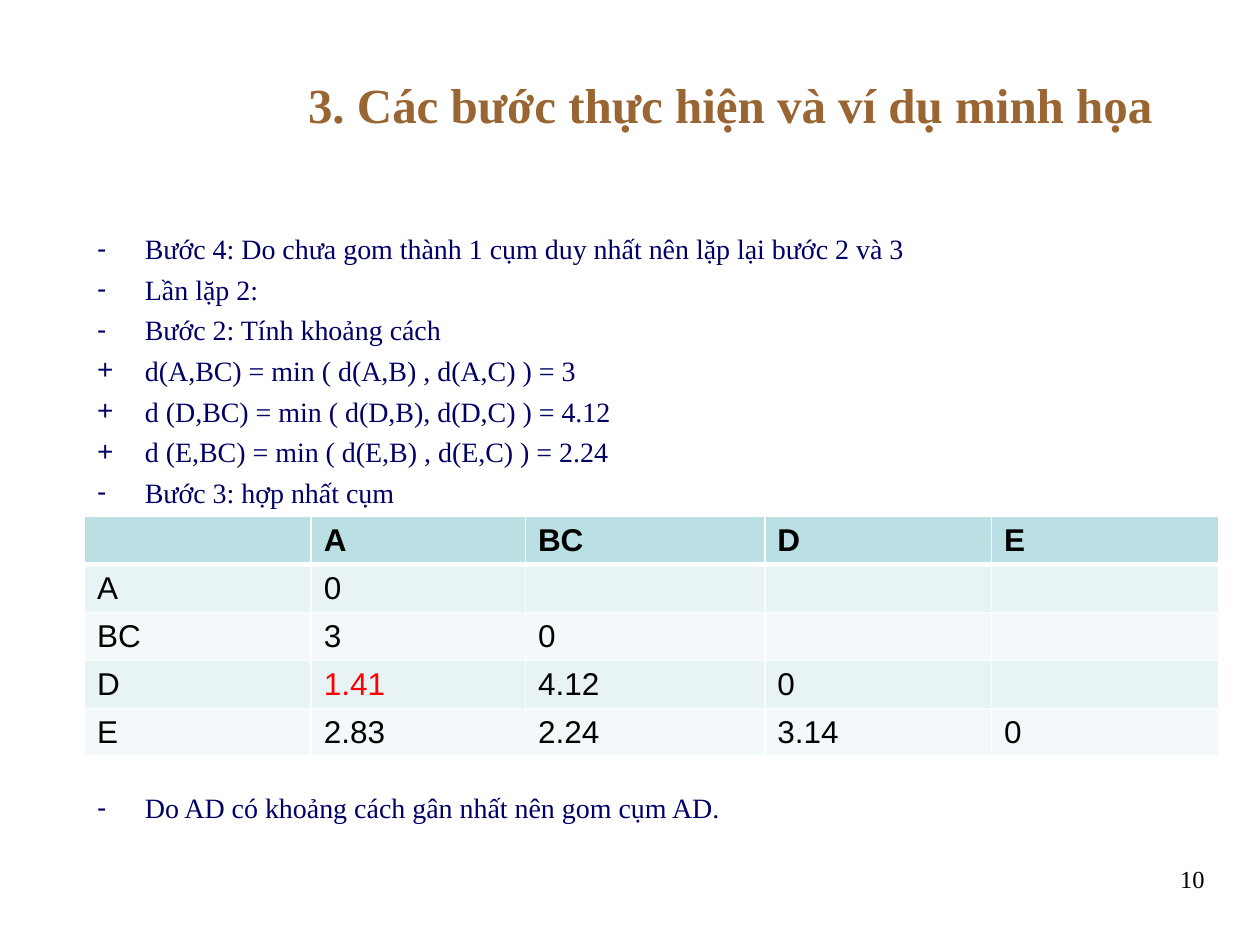
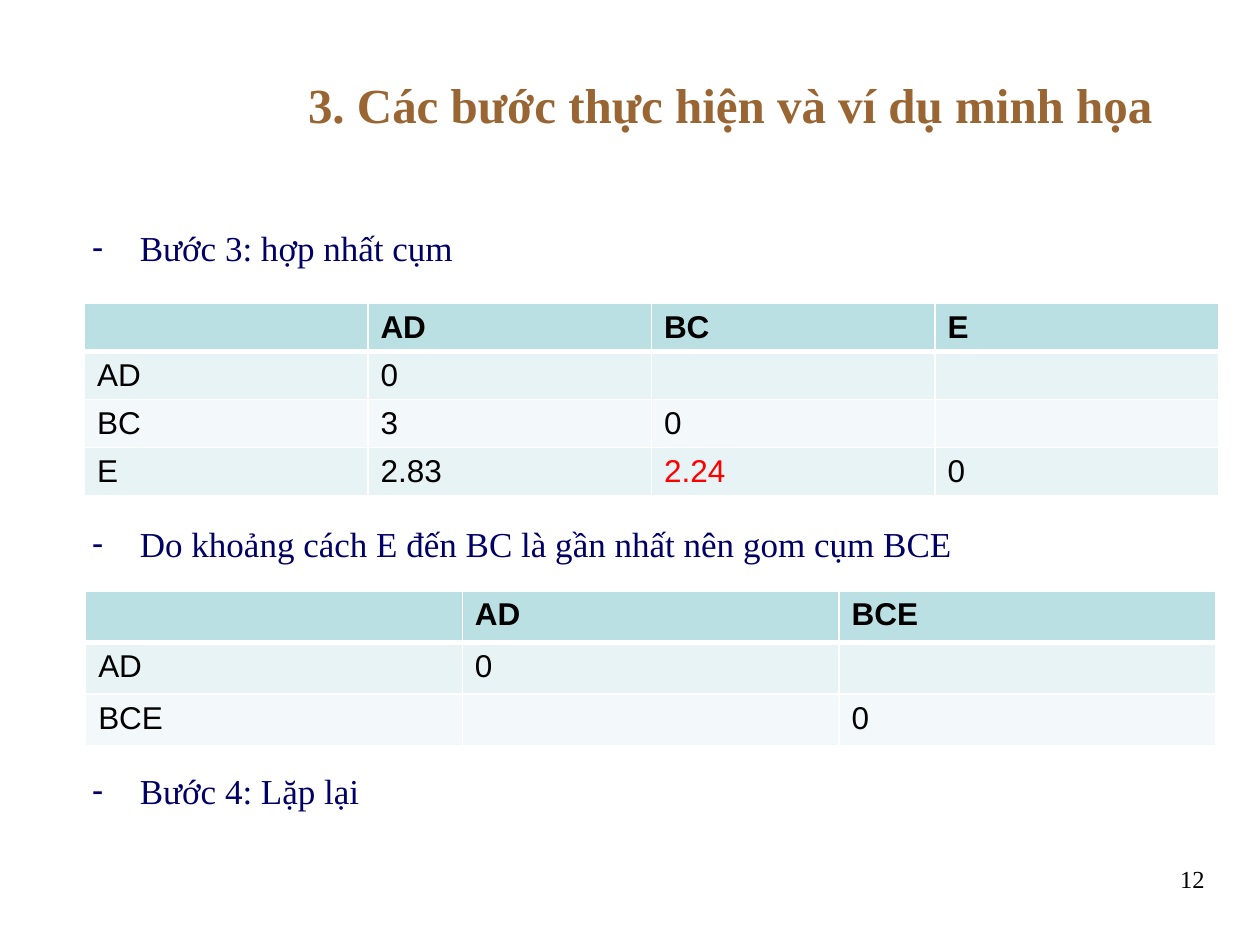
from dataclasses import dataclass

from lxml.etree import SubElement
from pptx import Presentation
from pptx.dml.color import RGBColor
from pptx.enum.text import MSO_ANCHOR, MSO_AUTO_SIZE, PP_ALIGN
from pptx.oxml.ns import qn
from pptx.util import Inches, Pt


@dataclass(frozen=True)
class Theme:
    """Colours, fonts and type sizes of the slides."""

    title_color: str = "996633"
    body_color: str = "000066"
    text_color: str = "000000"
    highlight_color: str = "FF0000"
    header_fill: str = "BBE0E3"
    band_fills: tuple = ("E7F3F4", "F3F9FA")
    border_color: str = "FFFFFF"
    serif: str = "Times New Roman"
    sans: str = "Arial"
    title_size: int = 28
    number_size: int = 14
    table_size: int = 18


class SlideBuilder:
    """Adds styled elements to the current slide."""

    def __init__(self, presentation, theme):
        self.presentation = presentation
        self.theme = theme
        self.slide = None

    def start_slide(self, title, number):
        self.slide = self.presentation.slides.add_slide(self.presentation.slide_layouts[1])
        self.add_title(title)
        self.add_number(number)

    def place(self, shape, left, top, width, height):
        box = {"left": left, "top": top, "width": width, "height": height}
        for name, value in box.items():
            setattr(shape, name, Inches(value))

    def set_frame(self, frame, anchor):
        formats = {"word_wrap": True, "auto_size": MSO_AUTO_SIZE.NONE, "vertical_anchor": anchor}
        for name, value in formats.items():
            setattr(frame, name, value)

    def add_text(self, paragraph, text, font_name, size, color, bold=False):
        run = paragraph.add_run()
        run.text = text
        formats = {"name": font_name, "size": Pt(size), "bold": bold}
        for name, value in formats.items():
            setattr(run.font, name, value)
        run.font.color.rgb = RGBColor.from_string(color)

    def add_title(self, text):
        title = self.slide.shapes.title
        self.place(title, 1.92, 0.31, 7.75, 1.03)
        self.set_frame(title.text_frame, MSO_ANCHOR.MIDDLE)
        paragraph = title.text_frame.paragraphs[0]
        paragraph.alignment = PP_ALIGN.CENTER
        theme = self.theme
        self.add_text(paragraph, text, theme.serif, theme.title_size, theme.title_color, True)

    def add_number(self, number):
        box = self.slide.shapes.add_textbox(Inches(7.33), Inches(6.81), Inches(2.33), Inches(0.61))
        self.set_frame(box.text_frame, MSO_ANCHOR.TOP)
        paragraph = box.text_frame.paragraphs[0]
        paragraph.alignment = PP_ALIGN.RIGHT
        theme = self.theme
        self.add_text(paragraph, str(number), theme.serif, theme.number_size, theme.text_color)

    def add_steps(self, left, top, size, steps):
        body = self.slide.placeholders[1]
        self.place(body, left, top, 9, 5.13)
        frame = body.text_frame
        self.set_frame(frame, MSO_ANCHOR.TOP)
        for index, (bullet, text, gap) in enumerate(steps):
            paragraph = frame.add_paragraph() if index else frame.paragraphs[0]
            formats = {"alignment": PP_ALIGN.JUSTIFY, "space_before": Pt(gap), "line_spacing": 1.0}
            for name, value in formats.items():
                setattr(paragraph, name, value)
            self.set_bullet(paragraph, bullet)
            self.add_text(paragraph, text, self.theme.serif, size, self.theme.body_color)

    def set_bullet(self, paragraph, bullet):
        properties = paragraph._p.get_or_add_pPr()
        indent = Inches(0.38)
        properties.set("marL", str(indent))
        properties.set("indent", str(-indent))
        SubElement(properties, qn("a:buFont"), typeface=self.theme.sans)
        SubElement(properties, qn("a:buChar"), char=bullet)

    def add_matrix(self, left, top, column_widths, row_height, rows, highlight=None):
        theme = self.theme
        size = Inches(sum(column_widths)), Inches(row_height * len(rows))
        frame = self.slide.shapes.add_table(
            len(rows), len(column_widths), Inches(left), Inches(top), *size)
        table = frame.table
        table.horz_banding = False
        for column, width in zip(table.columns, column_widths):
            column.width = Inches(width)
        for row_index, values in enumerate(rows):
            table.rows[row_index].height = Inches(row_height)
            header = row_index == 0
            fill = theme.header_fill if header else theme.band_fills[(row_index - 1) % 2]
            for column_index, value in enumerate(values):
                cell = table.cell(row_index, column_index)
                self.set_borders(cell, row_index)
                cell.fill.solid()
                cell.fill.fore_color.rgb = RGBColor.from_string(fill)
                marked = (row_index, column_index) == highlight
                color = theme.highlight_color if marked else theme.text_color
                self.fill_cell(cell, value, color, header)

    def fill_cell(self, cell, value, color, bold):
        theme = self.theme
        paragraph = cell.text_frame.paragraphs[0]
        if value:
            self.add_text(paragraph, value, theme.sans, theme.table_size, color, bold)
        else:
            ending = SubElement(paragraph._p, qn("a:endParaRPr"), sz=str(theme.table_size * 100))
            SubElement(ending, qn("a:latin"), typeface=theme.sans)

    def set_borders(self, cell, row_index):
        properties = cell._tc.get_or_add_tcPr()
        widths = {"lnL": 1, "lnR": 1, "lnT": 3 if row_index == 1 else 1,
                  "lnB": 3 if row_index == 0 else 1}
        for tag, width in widths.items():
            line = SubElement(properties, qn(f"a:{tag}"), w=str(Pt(width)))
            fill = SubElement(line, qn("a:solidFill"))
            SubElement(fill, qn("a:srgbClr"), val=self.theme.border_color)


def main():
    presentation = Presentation()
    presentation.slide_width = Inches(10)
    presentation.slide_height = Inches(7.5)
    builder = SlideBuilder(presentation, Theme())
    title = "3. Các bước thực hiện và ví dụ minh họa"

    builder.start_slide(title, 10)
    builder.add_steps(0.67, 1.79, 16, [
        ("-", "Bước 4: Do chưa gom thành 1 cụm duy nhất nên lặp lại bước 2 và 3", 1),
        ("-", "Lần lặp 2:", 4),
        ("-", "Bước 2: Tính khoảng cách", 4),
        ("+", "d(A,BC) = min ( d(A,B) , d(A,C) ) = 3", 4),
        ("+", "d (D,BC) = min ( d(D,B), d(D,C) ) = 4.12", 4),
        ("+", "d (E,BC) = min ( d(E,B) , d(E,C) ) = 2.24", 4),
        ("-", "Bước 3: hợp nhất cụm", 4),
        ("-", "Do AD có khoảng cách gân nhất nên gom cụm AD.", 161),
    ])
    builder.add_matrix(0.67, 4.1, [1.8, 1.7, 1.9, 1.8, 1.8], 0.38, [
        ["", "A", "BC", "D", "E"],
        ["A", "0", "", "", ""],
        ["BC", "3", "0", "", ""],
        ["D", "1.41", "4.12", "0", ""],
        ["E", "2.83", "2.24", "3.14", "0"],
    ], highlight=(3, 1))

    builder.start_slide(title, 12)
    builder.add_steps(0.63, 1.75, 20, [
        ("-", "Bước 3: hợp nhất cụm", 1),
        ("-", "Do khoảng cách E đến BC là gần nhất nên gom cụm BCE", 145),
        ("-", "Bước 4: Lặp lại", 117),
    ])
    builder.add_matrix(0.67, 2.41, [2.25] * 4, 0.38, [
        ["", "AD", "BC", "E"],
        ["AD", "0", "", ""],
        ["BC", "3", "0", ""],
        ["E", "2.83", "2.24", "0"],
    ], highlight=(3, 2))
    builder.add_matrix(0.68, 4.69, [2.99] * 3, 0.41, [
        ["", "AD", "BCE"],
        ["AD", "0", ""],
        ["BCE", "", "0"],
    ])

    presentation.save("out.pptx")


if __name__ == "__main__":
    main()
